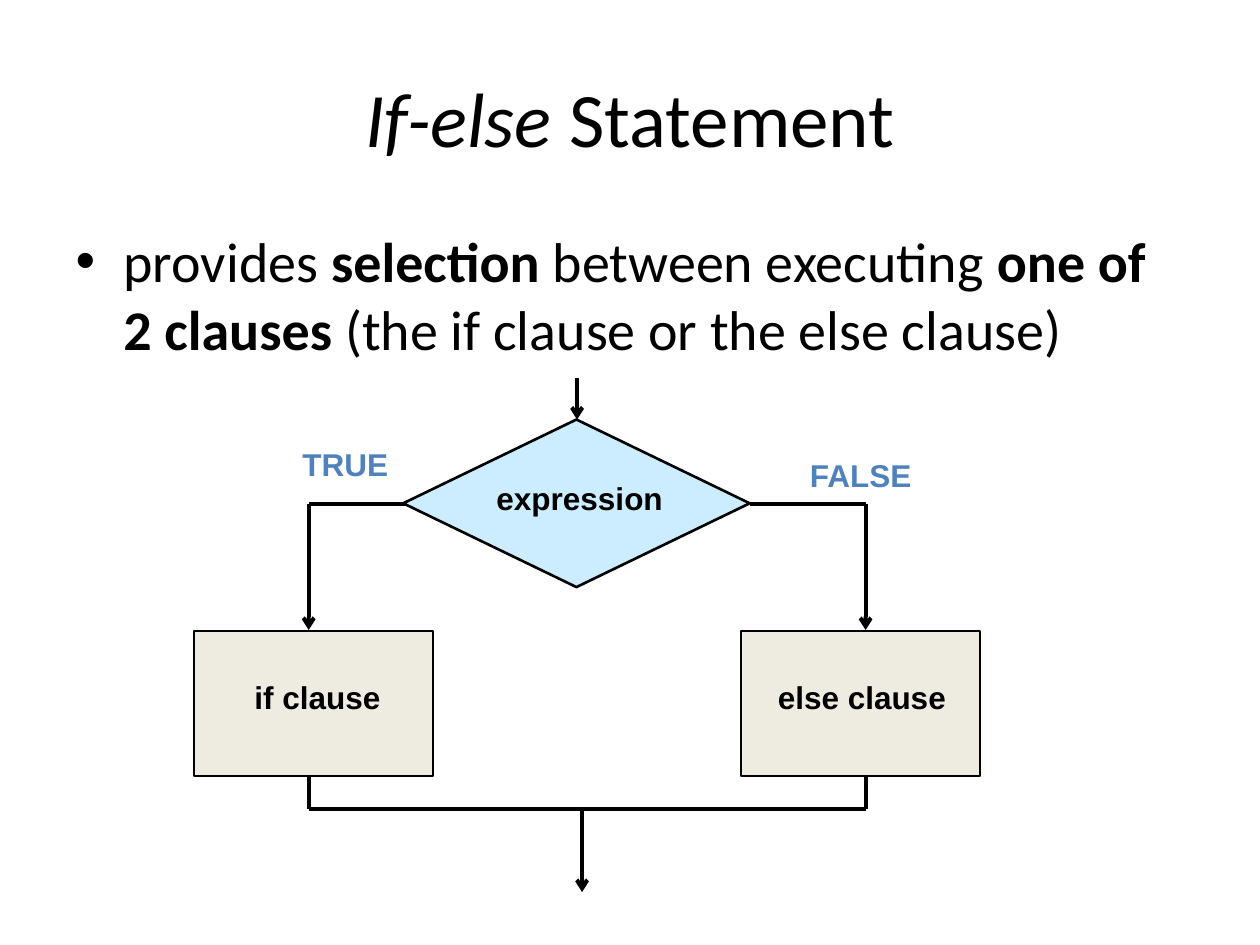
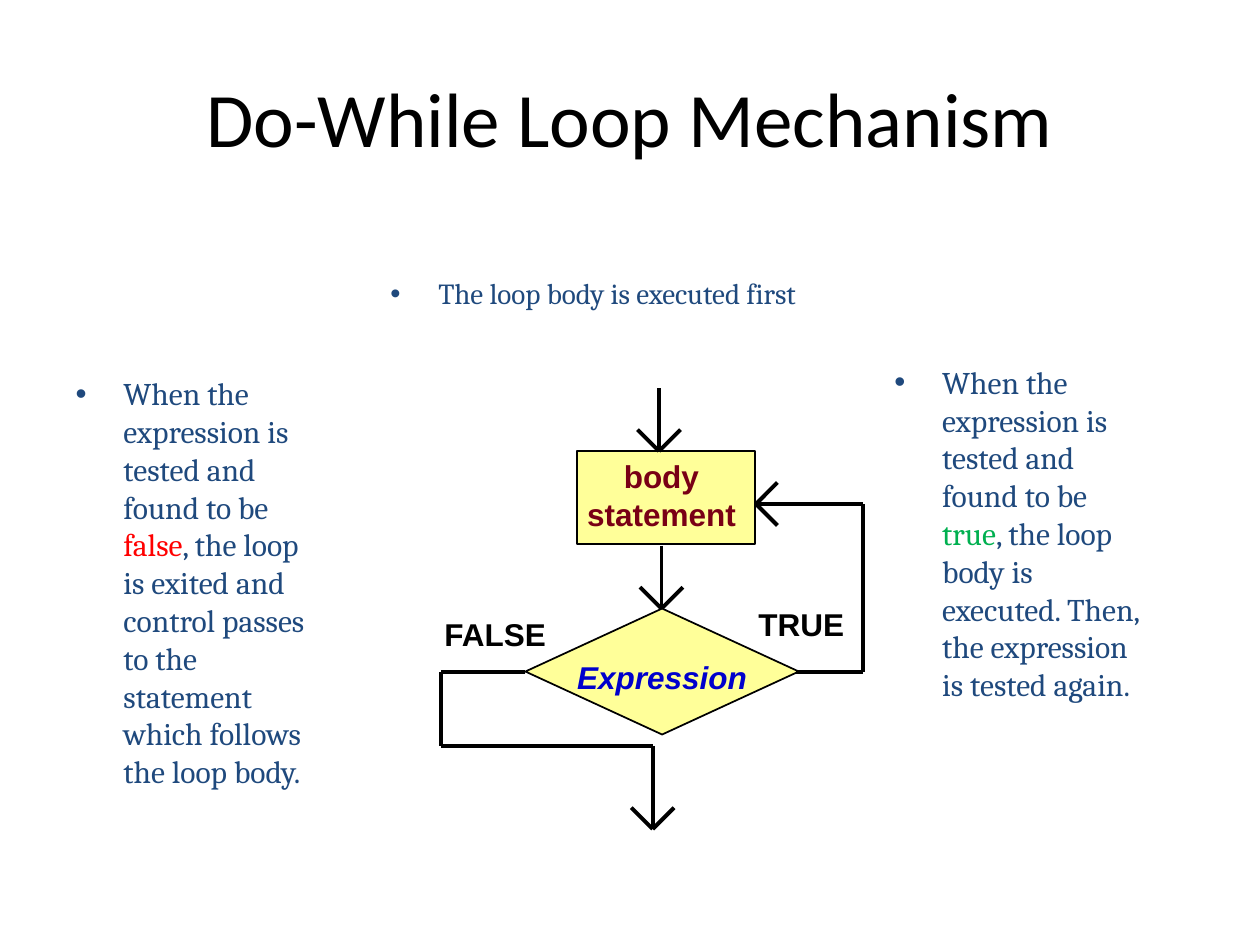
"""Build two slides on control flow: the if-else statement and the do-while loop."""
import dataclasses

import lxml.etree
import pptx
import pptx.dml.color
import pptx.enum.shapes
import pptx.enum.text
import pptx.oxml.ns
import pptx.util

Inches = pptx.util.Inches
Shapes = pptx.enum.shapes.MSO_SHAPE
Align = pptx.enum.text.PP_ALIGN


@dataclasses.dataclass(frozen=True)
class Theme:
    """Colours, fonts and sizes shared by the slides."""
    black: str = "000000"
    navy: str = "1F497D"
    blue: str = "4F81BD"
    bright_blue: str = "0000CC"
    maroon: str = "790015"
    red: str = "FF0000"
    green: str = "00B050"
    sky: str = "CCECFF"
    beige: str = "EEECE1"
    yellow: str = "FFFF99"
    heading_font: str = "Calibri"
    label_font: str = "Arial"
    note_font: str = "Cambria"
    title_size: float = 44
    body_size: float = 32
    label_size: float = 18
    small_size: float = 16.6
    flow_width: float = 2.25
    indent: float = 0.38
    barb: float = 0.17


THEME = Theme()


def color(value):
    """Turn a hexadecimal string into a colour."""
    return pptx.dml.color.RGBColor.from_string(value)


def place(shape, box):
    """Move a shape to left, top, width and height in inches."""
    shape.left, shape.top, shape.width, shape.height = map(Inches, box)


def add_run(paragraph, text, font, size, ink=THEME.black, bold=False, italic=False):
    """Add one formatted run to a paragraph."""
    run = paragraph.add_run()
    run.text = text
    run.font.name = font
    run.font.size = pptx.util.Pt(size)
    run.font.bold = bold
    run.font.italic = italic
    run.font.color.rgb = color(ink)


def set_bullet(paragraph, ink):
    """Give a paragraph a round bullet with a hanging indent."""
    properties = paragraph._p.get_or_add_pPr()
    properties.set("marL", str(Inches(THEME.indent)))
    properties.set("indent", str(-Inches(THEME.indent)))
    qualify = pptx.oxml.ns.qn
    bullet_color = lxml.etree.SubElement(properties, qualify("a:buClr"))
    lxml.etree.SubElement(bullet_color, qualify("a:srgbClr"), val=ink)
    lxml.etree.SubElement(properties, qualify("a:buFont"), typeface=THEME.label_font)
    lxml.etree.SubElement(properties, qualify("a:buChar"), char="•")


def add_titled_slide(presentation, title_runs):
    """Add a slide whose title is made of (text, italic) runs."""
    slide = presentation.slides.add_slide(presentation.slide_layouts[1])
    title = slide.shapes.title
    place(title, (0.5, 0.3, 9, 1.25))
    frame = title.text_frame
    frame.auto_size = pptx.enum.text.MSO_AUTO_SIZE.NONE
    frame.vertical_anchor = pptx.enum.text.MSO_ANCHOR.MIDDLE
    paragraph = frame.paragraphs[0]
    paragraph.alignment = Align.CENTER
    for text, italic in title_runs:
        add_run(paragraph, text, THEME.heading_font, THEME.title_size, italic=italic)
    return slide


def fill_bullet(shape, box, ink, line_spacing=1.0):
    """Place a text shape and return its single bulleted paragraph."""
    place(shape, box)
    frame = shape.text_frame
    frame.word_wrap = True
    frame.auto_size = pptx.enum.text.MSO_AUTO_SIZE.NONE
    paragraph = frame.paragraphs[0]
    set_bullet(paragraph, ink)
    paragraph.space_before = pptx.util.Pt(0)
    paragraph.line_spacing = line_spacing
    return paragraph


def add_note(shape, box, runs, size=THEME.label_size, line_spacing=1.0):
    """Write a bulleted note from (text, colour) runs."""
    paragraph = fill_bullet(shape, box, THEME.navy, line_spacing)
    for text, ink in runs:
        add_run(paragraph, text, THEME.note_font, size, ink)


def add_text_box(slide):
    """Add an empty text box to be placed later."""
    return slide.shapes.add_textbox(0, 0, 0, 0)


def add_label(slide, box, lines, ink=THEME.black, italic=False):
    """Add a bold, unwrapped label with one paragraph a line."""
    shape = add_text_box(slide)
    place(shape, box)
    frame = shape.text_frame
    frame.word_wrap = False
    for number, line in enumerate(lines):
        paragraph = frame.add_paragraph() if number else frame.paragraphs[0]
        paragraph.alignment = Align.CENTER
        add_run(paragraph, line, THEME.label_font, THEME.label_size, ink, True, italic)


def add_node(slide, kind, box, fill, line_width=1):
    """Add a filled and outlined flowchart node."""
    shape = slide.shapes.add_shape(kind, *map(Inches, box))
    shape.shadow.inherit = False
    shape.fill.solid()
    shape.fill.fore_color.rgb = color(fill)
    shape.line.color.rgb = color(THEME.black)
    shape.line.width = pptx.util.Pt(line_width)


def add_flow(slide, *points, arrow=False):
    """Join points by straight lines, with an arrowhead at the last if wanted."""
    qualify = pptx.oxml.ns.qn
    for start, end in zip(points, points[1:]):
        connector = slide.shapes.add_connector(
            pptx.enum.shapes.MSO_CONNECTOR.STRAIGHT, *map(Inches, start + end))
        connector.line.color.rgb = color(THEME.black)
        connector.line.width = pptx.util.Pt(THEME.flow_width)
        if arrow and end == points[-1]:
            line = connector.line._get_or_add_ln()
            lxml.etree.SubElement(line, qualify("a:tailEnd"), type="arrow")
        lxml.etree.SubElement(connector._element.spPr, qualify("a:effectLst"))


def add_wide_arrowhead(slide, tip, direction):
    """Draw two barbs at a tip that points along a unit direction."""
    (x, y), (across, down) = tip, direction
    for side in (-1, 1):
        barb_end = (x - THEME.barb * (across + side * down),
                    y - THEME.barb * (down + side * across))
        add_flow(slide, tip, barb_end)


def build_if_else(presentation):
    """Build the slide on the if-else statement."""
    slide = add_titled_slide(presentation, [("If-else", True), (" Statement", False)])
    paragraph = fill_bullet(slide.placeholders[1], (0.5, 1.75, 9, 4.95), THEME.black)
    for text, bold in [("provides ", False), ("selection", True),
                       (" between executing ", False), ("one of 2 clauses", True),
                       (" (the if clause or the else clause)", False)]:
        add_run(paragraph, text, THEME.heading_font, THEME.body_size, bold=bold)

    if_x, else_x, merge_y = 2.45, 6.87, 6.42
    for node_left, branch_x, diamond_x in [(1.54, if_x, 3.29), (5.88, else_x, 5.95)]:
        add_flow(slide, (diamond_x, 4), (branch_x, 4), (branch_x, 5), arrow=True)
        add_node(slide, Shapes.RECTANGLE, (node_left, 5.01, 1.9, 1.15), THEME.beige)
    add_flow(slide, (if_x, 6.17), (if_x, merge_y), (else_x, merge_y), (else_x, 6.17))
    add_flow(slide, (4.62, merge_y), (4.62, 7.08), arrow=True)
    add_node(slide, Shapes.FLOWCHART_DECISION, (3.2, 3.33, 2.75, 1.33), THEME.sky, 1.5)
    add_flow(slide, (4.58, 3), (4.58, 3.33), arrow=True)

    add_label(slide, (2.3, 3.48, 0.88, 0.4), ["TRUE"], THEME.blue)
    add_label(slide, (6.32, 3.57, 1.02, 0.4), ["FALSE"], THEME.blue)
    add_label(slide, (1.92, 5.33, 1.2, 0.4), ["if clause"])
    add_label(slide, (6.07, 5.33, 1.54, 0.4), ["else clause"])
    add_label(slide, (3.84, 3.75, 1.52, 0.4), ["expression"])


def build_do_while(presentation):
    """Build the slide on the do-while loop."""
    slide = add_titled_slide(presentation, [("Do-While Loop Mechanism", False)])
    tested = ("When the expression is tested and found to be ", THEME.navy)
    add_note(slide.placeholders[1], (0.5, 2.92, 2.17, 3.83), [
        tested, ("false", THEME.red),
        (", the loop is exited and control passes to the statement "
         "which follows the loop body.", THEME.navy)])
    add_note(add_text_box(slide), (7, 2.83, 2.17, 3.83), [
        tested, ("true", THEME.green),
        (", the loop body is executed. Then, the expression is tested again.",
         THEME.navy)])
    add_note(add_text_box(slide), (3, 2.17, 4.08, 0.58),
             [("The loop body is executed first", THEME.navy)], THEME.small_size, 0.9)

    down, left = (0, 1), (-1, 0)
    add_node(slide, Shapes.RECTANGLE, (4.58, 3.58, 1.41, 0.74), THEME.yellow)
    for points, direction in [
            ([(5.23, 3.08), (5.23, 3.58)], down),
            ([(5.25, 4.33), (5.25, 4.83)], down),
            ([(5.68, 5.33), (6.85, 5.33), (6.85, 4), (6, 4)], left),
            ([(4.17, 5.33), (3.5, 5.33), (3.5, 5.92), (5.18, 5.92), (5.18, 6.58)], down)]:
        add_flow(slide, *points)
        add_wide_arrowhead(slide, points[-1], direction)
    add_node(slide, Shapes.FLOWCHART_DECISION, (4.17, 4.83, 2.17, 1), THEME.yellow)

    add_label(slide, (3.42, 4.83, 1.02, 0.4), ["FALSE"])
    add_label(slide, (5.92, 4.75, 0.88, 0.4), ["TRUE"])
    add_label(slide, (4.56, 3.58, 1.38, 0.7), ["body", "statement"], THEME.maroon)
    add_label(slide, (4.48, 5.17, 1.55, 0.4), ["Expression"], THEME.bright_blue, True)


def main():
    """Build and save the presentation."""
    presentation = pptx.Presentation()
    presentation.slide_width = Inches(10)
    presentation.slide_height = Inches(7.5)
    build_if_else(presentation)
    build_do_while(presentation)
    presentation.save("out.pptx")


if __name__ == "__main__":
    main()
